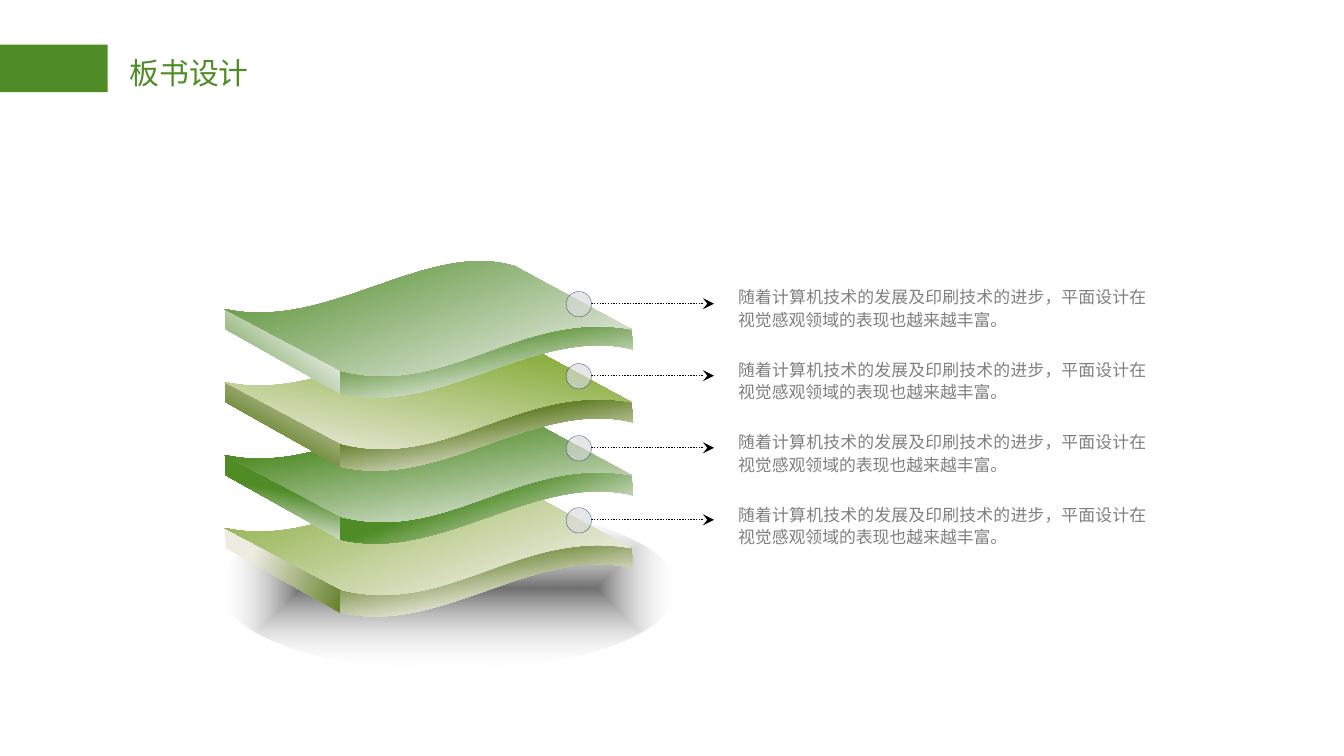
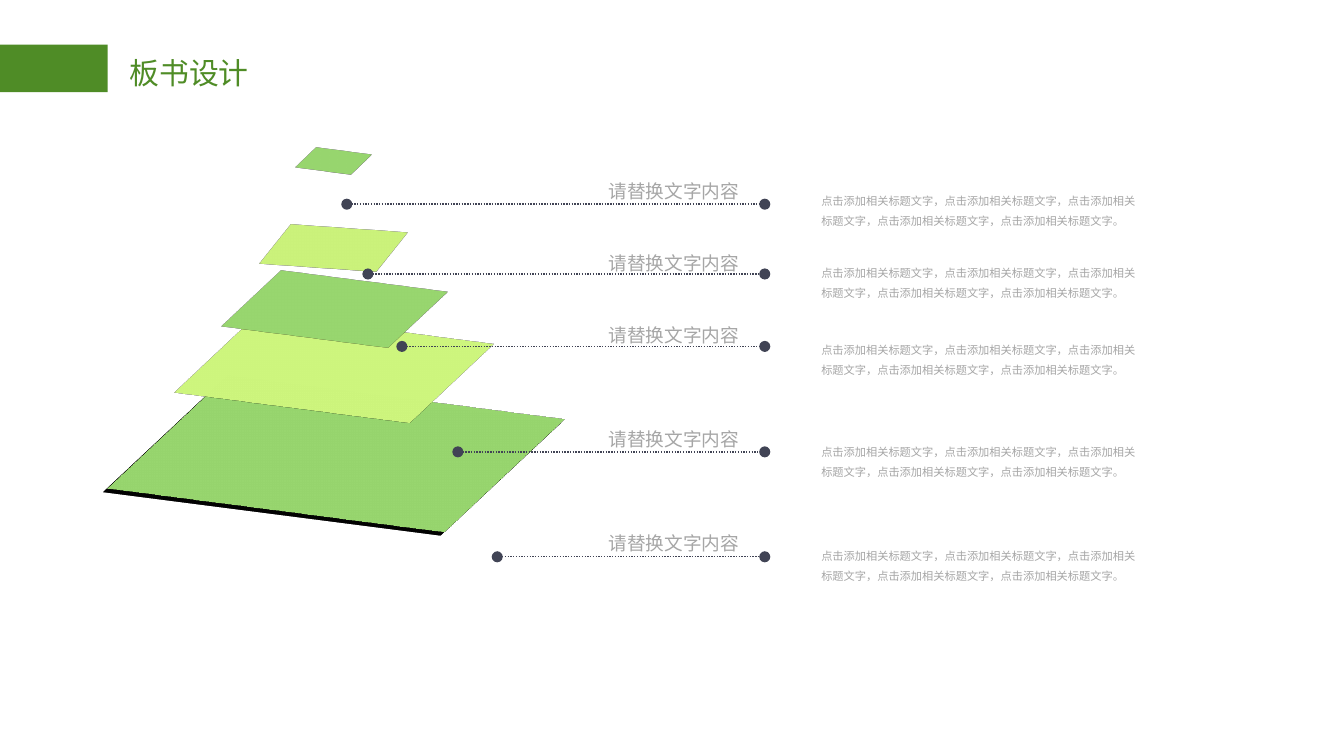
from lxml import etree
from pptx import Presentation
from pptx.dml.color import RGBColor
from pptx.enum.dml import MSO_LINE
from pptx.enum.shapes import MSO_CONNECTOR, MSO_SHAPE
from pptx.enum.text import MSO_AUTO_SIZE, PP_ALIGN
from pptx.oxml.ns import qn
from pptx.util import Pt

RECTANGLE, ELLIPSE = MSO_SHAPE.RECTANGLE, MSO_SHAPE.OVAL
STRAIGHT = MSO_CONNECTOR.STRAIGHT
DOTTED = MSO_LINE.ROUND_DOT
GROW = MSO_AUTO_SIZE.SHAPE_TO_FIT_TEXT
LEFT, RIGHT, JUSTIFY = PP_ALIGN.LEFT, PP_ALIGN.RIGHT, PP_ALIGN.JUSTIFY

COLORS = {
    "green": "4F8C26", "lime": "84AB35", "olive": "638028",
    "cream": "EEECE1", "pale": "F2F2F2", "white": "FFFFFF",
    "black": "000000", "slate": "414455", "navy": "002060",
    "dot": "D9D9D9", "body": "808080", "muted": "A6A6A6",
}
CJK = "Noto Sans CJK SC"
TITLE = "板书设计"

SLAB_NOTE = "随着计算机技术的发展及印刷技术的进步，平面设计在视觉感观领域的表现也越来越丰富。"
SLAB_STEP, NOTE_STEP, ARROW_STEP = 39.1, 38.85, 38.6
SLAB_FACES = {
    "side": ((120.6, 165.6, 62.3, 45.2), [
        [(121, 165.6)], [(182.9, 198)],
        [(182.9, 202.3), (182.2, 206.6), (182.2, 210.8)], [(121, 176.4)],
        [(121, 172.8), (120.2, 169.9), (121, 165.6)]]),
    "front": ((182.2, 174, 156.9, 39), [
        [(182.2, 198.7)], [(238.3, 213.8), (287.3, 162.7), (338.4, 176.4)],
        [(338.4, 180.7), (339.1, 183.6), (339.1, 187.2)],
        [(286.6, 174.2), (235.4, 223.9), (182.2, 210.8)],
        [(182.2, 207.4), (182.2, 202.3), (182.2, 198.7)]]),
    "top": ((120.4, 140.4, 218, 61.2), [
        [(275.8, 142.6)], [(338.4, 176.4)],
        [(278.6, 165.6), (239.8, 213.1), (182.9, 198.7)], [(120.4, 165.6)],
        [(175.7, 177.8), (228.2, 128.2), (275.8, 142.6)]]),
}
SLABS = [
    {"side": ("pale", 25, "green", 100, 130),
     "front": ("pale", 18, "green", 76, 260),
     "top": ("pale", 0, "green", 100, 250)},
    {"side": ("cream", 0, "olive", 69, 120),
     "front": ("cream", 20, "olive", 64, 260),
     "top": ("cream", 0, "lime", 86, 280)},
    {"side": ("pale", 8, "green", 57, 280),
     "front": ("pale", 12, "green", 60, 250),
     "top": ("pale", 0, "green", 73, 260)},
    {"side": ("cream", 25, "olive", 100, 20),
     "front": ("cream", 28, "olive", 76, 260),
     "top": ("cream", 14, "lime", 100, 250)},
]

LEVEL_LABEL = "请替换文字内容"
LEVEL_NOTE = "，".join(["点击添加相关标题文字"] * 5) + "。"
FLAT, STEEP = (298.8, 43.3, 313.1), (294.8, 37.6, 321.1)
TILES = [
    (83.5, 151.2, 193, 183.6, "green", FLAT),
    (111.6, 133.2, 134.6, 128.2, "lime", FLAT),
    (131.8, 120.2, 95, 90.7, "green", FLAT),
    (146.2, 100.8, 64.8, 64.1, "lime", STEEP),
    (162.7, 70.6, 31.7, 31.7, "green", FLAT),
]
LEVELS = [
    (185.8, 109.4, 91.4, 97.9),
    (197.1, 146.8, 130.1, 136.5),
    (215.3, 185.6, 168.5, 177.8),
    (245.3, 242.1, 224.4, 232.4),
    (266.4, 298.3, 280.1, 288),
]


def rgb(name):
    return RGBColor.from_string(COLORS[name])


def add_node(parent, tag, **values):
    node = etree.SubElement(parent, qn("a:" + tag))
    for name, value in values.items():
        node.set(name, str(value))
    return node


def fill_plain(shape, color):
    shape.fill.solid()
    shape.fill.fore_color.rgb = rgb(color)
    shape.line.fill.background()
    shape.shadow.inherit = False


def fill_gradient(shape, first, start, last, end, angle):
    shape.fill.gradient()
    shape.fill.gradient_angle = 360 - angle
    for stop, color, place in zip(shape.fill.gradient_stops, (first, last), (start, end)):
        stop.color.rgb = rgb(color)
        stop.position = place / 100
    shape.line.fill.background()
    shape.shadow.inherit = False


def add_preset(page, kind, left, top, width, height, color):
    shape = page.shapes.add_shape(kind, Pt(left), Pt(top), Pt(width), Pt(height))
    fill_plain(shape, color)
    return shape


def add_curved(shapes, frame, segments, drop):
    left, top, width, height = frame
    top += drop
    corners = [(left, top), (left + width, top), (left + width, top + height),
               (left, top + height)]
    corners = [(Pt(x), Pt(y)) for x, y in corners]
    builder = shapes.build_freeform(*corners[0])
    builder.add_line_segments(corners[1:], close=True)
    shape = builder.convert_to_shape()
    outline = next(shape._element.spPr.iter(qn("a:path")))
    for command in list(outline):
        outline.remove(command)
    for index, segment in enumerate(segments):
        tag = "moveTo" if index == 0 else "lnTo" if len(segment) == 1 else "cubicBezTo"
        command = add_node(outline, tag)
        for x, y in segment:
            add_node(command, "pt", x=Pt(x - left), y=Pt(y + drop - top))
    add_node(outline, "close")
    return shape


def add_text(page, text, left, top, width, height, size, font, color,
             inset, align=LEFT, spacing=None, wrap=True):
    box = page.shapes.add_textbox(Pt(left), Pt(top), Pt(width), Pt(height))
    frame = box.text_frame
    frame.word_wrap = wrap
    frame.auto_size = GROW
    frame.margin_left = frame.margin_right = Pt(inset[0])
    frame.margin_top = frame.margin_bottom = Pt(inset[1])
    frame.text = text
    para = frame.paragraphs[0]
    para.alignment = align
    para.line_spacing = spacing
    span = para.runs[0]
    span.font.size = Pt(size)
    span.font.name = font
    span.font.color.rgb = rgb(color)
    add_node(span.font._element, "ea", typeface=CJK)


def add_dotted_line(page, start, end, y, color, **ends):
    line = page.shapes.add_connector(STRAIGHT, Pt(start), Pt(y), Pt(end), Pt(y))
    line.line.color.rgb = rgb(color)
    line.line.width = Pt(0.75)
    line.line.dash_style = DOTTED
    stroke = line.line._get_or_add_ln()
    for name, kind in ends.items():
        add_node(stroke, name, type=kind)
    add_node(line._element.spPr, "effectLst")


def add_page(deck):
    page = deck.slides.add_slide(deck.slide_layouts[6])
    add_preset(page, RECTANGLE, 0, 23.9, 57.7, 25.5, "green")
    add_text(page, TITLE, 64, 26.6, 75.6, 25.2, 16, "Calibri", "green",
             (5.4, 2.7), wrap=False)
    return page


def add_floor_shadow(page):
    floor = add_preset(page, ELLIPSE, 117.4, 271.4, 245.5, 87.1, "black")
    fill_gradient(floor, "black", 0, "white", 100, 0)
    gradient = floor._element.spPr.find(qn("a:gradFill"))
    for color, percent in zip(gradient.iter(qn("a:srgbClr")), (56, 0)):
        add_node(color, "alpha", val=percent * 1000)
    gradient.remove(gradient.find(qn("a:lin")))
    radial = add_node(gradient, "path", path="shape")
    add_node(radial, "fillToRect", **{side: 50000 for side in "ltrb"})


def build_slabs(deck):
    page = add_page(deck)
    add_floor_shadow(page)
    for index in reversed(range(len(SLABS))):
        slab = page.shapes.add_group_shape()
        for face, (frame, segments) in SLAB_FACES.items():
            shape = add_curved(slab.shapes, frame, segments, index * SLAB_STEP)
            fill_gradient(shape, *SLABS[index][face])
    for index in range(len(SLABS)):
        add_text(page, SLAB_NOTE, 388.4, 149 + index * NOTE_STEP, 232.6, 31.7,
                 9, CJK, "body", (7.2, 3.6), JUSTIFY, Pt(12))
        y = 162.7 + index * ARROW_STEP
        add_dotted_line(page, 316.8, 382.5, y, "black", tailEnd="stealth")
        dot = add_preset(page, ELLIPSE, 303.3, y - 6.5, 13.6, 13.6, "dot")
        add_node(dot._element.spPr.find(qn("a:solidFill"))[0], "alpha", val=65000)
        dot.line.color.rgb = rgb("navy")
        dot.line.width = Pt(0.1)


def tilt(shape, angles):
    scene = add_node(shape._element.spPr, "scene3d")
    camera = add_node(scene, "camera", prst="orthographicFront")
    turns = {name: round(angle * 60000) for name, angle in zip(("lat", "lon", "rev"), angles)}
    add_node(camera, "rot", **turns)
    add_node(scene, "lightRig", rig="threePt", dir="t")


def add_soft_shadow(shape):
    effects = shape._element.spPr.find(qn("a:effectLst"))
    shadow = add_node(effects, "outerShdw", blurRad=Pt(29), dist=Pt(3),
                      dir=135 * 60000, algn="tr", rotWithShape=0)
    color = add_node(shadow, "srgbClr", val=COLORS["black"])
    add_node(color, "alpha", val=90000)


def build_pyramid(deck):
    page = add_page(deck)
    for index, (*place, color, angles) in enumerate(TILES):
        tile = add_preset(page, RECTANGLE, *place, color)
        if index == 0:
            add_soft_shadow(tile)
        tilt(tile, angles)
    for start, line_y, _, _ in LEVELS:
        add_dotted_line(page, start, 409.7, line_y, "slate", headEnd="oval", tailEnd="oval")
    for _, _, label_y, note_y in reversed(LEVELS):
        add_text(page, LEVEL_NOTE, 435, note_y, 182.9, 26.6, 6, CJK, "muted",
                 (5, 2.7), spacing=1.5)
        add_text(page, LEVEL_LABEL, 319.4, label_y, 81.4, 19.4, 10, "Arial", "muted",
                 (5, 2.7), RIGHT, 1.2, wrap=False)


def main():
    deck = Presentation()
    deck.slide_width, deck.slide_height = Pt(720), Pt(405)
    build_slabs(deck)
    build_pyramid(deck)
    deck.save("out.pptx")


if __name__ == "__main__":
    main()
